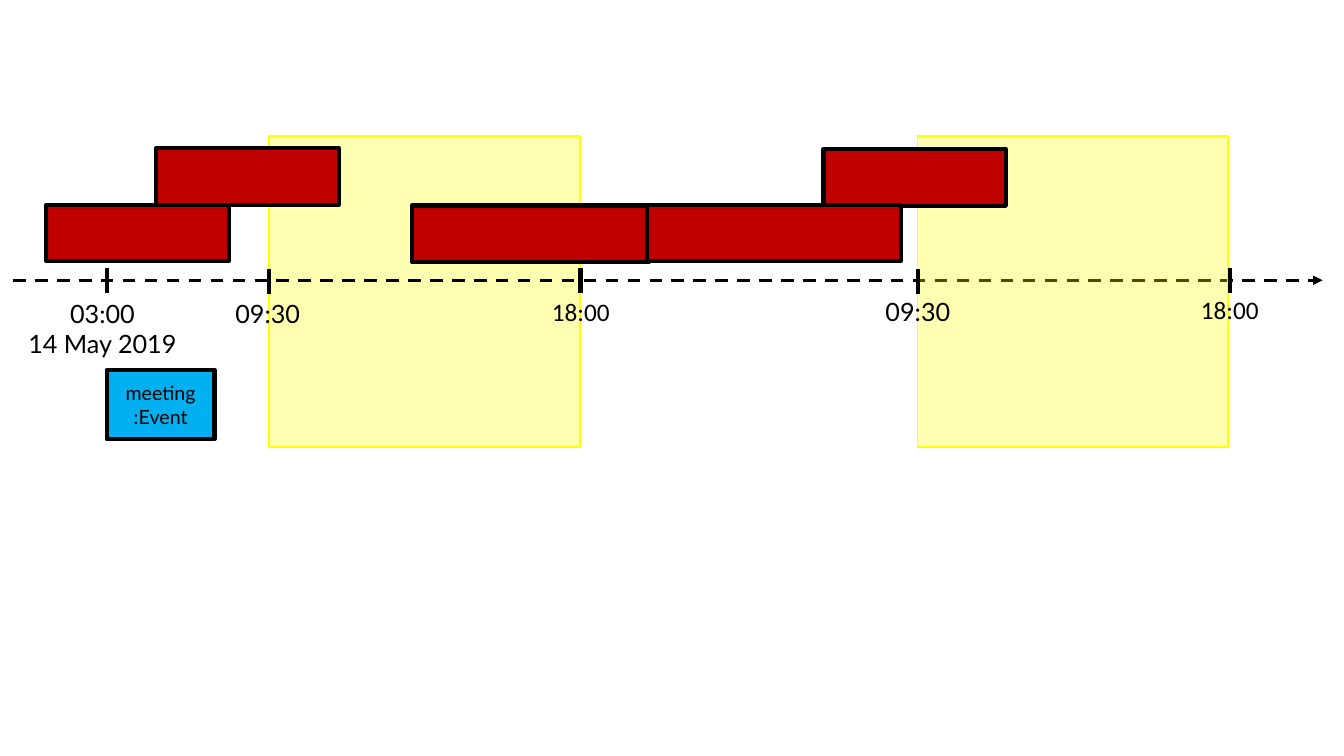
from lxml.etree import SubElement
from pptx import Presentation
from pptx.dml.color import RGBColor
from pptx.enum.dml import MSO_LINE
from pptx.enum.shapes import MSO_CONNECTOR, MSO_SHAPE
from pptx.enum.text import MSO_ANCHOR, MSO_AUTO_SIZE, PP_ALIGN
from pptx.oxml.ns import qn
from pptx.util import Pt

COLORS = {"ink": "000000", "hours": "FFFF00", "busy": "C00000", "event": "00B0F0"}
BAND_WIDTH, BAND_HEIGHT = 222, 222
BAR_HEIGHT, TICK_HEIGHT, AXIS_OFFSET = 40.4, 18, 103
BAND_OFFSETS = [182.9, 645.8]
BARS = [
    (23.7, 49, 130.3),
    (102.2, 8.6, 130.3),
    (285.1, 49.6, 169.2),
    (578.8, 9.4, 130.3),
    (452.8, 49, 181.4),
]
TICKS = [(66.9, 94.3), (182.9, 95), (405.3, 94.3), (646.5, 95), (869, 94.3)]
LABELS = [
    (151.2, 112.3, 61.2, 28.8, "Lato", ["09:30"]),
    (377.3, 110.9, 56.2, 28.8, "Calibri", ["18:00"]),
    (2.2, 112.3, 123.1, 51, "Lato", ["03:00", "14 May 2019"]),
    (615.6, 110.9, 61.2, 28.8, "Lato", ["09:30"]),
    (841, 109.4, 56.2, 28.8, "Calibri", ["18:00"]),
]


def color(name):
    """Return the named palette colour."""
    return RGBColor.from_string(COLORS[name])


def add_box(slide, left, top, width, height, fill, outline="ink", weight=3):
    """Add a filled and outlined rectangle."""
    shape = slide.shapes.add_shape(
        MSO_SHAPE.RECTANGLE, Pt(left), Pt(top), Pt(width), Pt(height))
    shape.shadow.inherit = False
    shape.fill.solid()
    shape.fill.fore_color.rgb = color(fill)
    shape.line.color.rgb = color(outline)
    shape.line.width = Pt(weight)
    return shape


def add_line(slide, x1, y1, x2, y2, weight):
    """Add a straight line without a shadow."""
    line = slide.shapes.add_connector(
        MSO_CONNECTOR.STRAIGHT, Pt(x1), Pt(y1), Pt(x2), Pt(y2))
    line.line.color.rgb = color("ink")
    line.line.width = Pt(weight)
    SubElement(line._element.spPr, qn("a:effectLst"))
    return line


def write_lines(frame, lines, font_name, size):
    """Write centred paragraphs into a text frame."""
    frame.text = "\n".join(lines)
    for paragraph in frame.paragraphs:
        paragraph.alignment = PP_ALIGN.CENTER
        paragraph.font.name = font_name
        paragraph.font.size = Pt(size)
        paragraph.font.color.rgb = color("ink")


def add_band(slide, left, top):
    """Add a translucent working-hours band."""
    band = add_box(slide, left, top, BAND_WIDTH, BAND_HEIGHT, "hours", "hours", 1)
    fill_color = band._element.spPr.find(qn("a:solidFill"))[0]
    SubElement(fill_color, qn("a:alpha"), val="30000")


def add_axis(slide, left, y, width):
    """Add the dashed time arrow."""
    axis = add_line(slide, left, y, left + width, y, 2.25)
    axis.line.dash_style = MSO_LINE.DASH
    SubElement(axis.line._get_or_add_ln(), qn("a:tailEnd"), type="triangle")


def add_label(slide, left, top, width, height, font_name, lines):
    """Add a time label below the axis."""
    label = slide.shapes.add_textbox(Pt(left), Pt(top), Pt(width), Pt(height))
    frame = label.text_frame
    frame.word_wrap = False
    frame.auto_size = MSO_AUTO_SIZE.SHAPE_TO_FIT_TEXT
    write_lines(frame, lines, font_name, 18)


def add_timeline(slide, left, top, width):
    """Draw bands, axis, busy bars, ticks and labels from the given corner."""
    first_band, second_band = BAND_OFFSETS
    add_band(slide, left + first_band, top)
    add_axis(slide, left, top + AXIS_OFFSET, width)
    add_band(slide, left + second_band, top)
    for x, y, bar_width in BARS:
        add_box(slide, left + x, top + y, bar_width, BAR_HEIGHT, "busy")
    for x, y in TICKS:
        add_line(slide, left + x, top + y, left + x, top + y + TICK_HEIGHT, 3)
    for x, y, *label in LABELS:
        add_label(slide, left + x, top + y, *label)


def add_event(slide, left, top, width, height):
    """Add the meeting event box."""
    event = add_box(slide, left, top, width, height, "event")
    event.text_frame.vertical_anchor = MSO_ANCHOR.MIDDLE
    write_lines(event.text_frame, ["meeting", ":Event"], "Lato", 14)


def main():
    """Build and save the presentation."""
    presentation = Presentation()
    presentation.slide_width, presentation.slide_height = Pt(960), Pt(540)
    slide = presentation.slides.add_slide(presentation.slide_layouts[6])
    add_timeline(slide, 9.4, 97.2, 935.3)
    add_event(slide, 76.3, 264.2, 77, 49.7)
    presentation.save("out.pptx")


if __name__ == "__main__":
    main()
